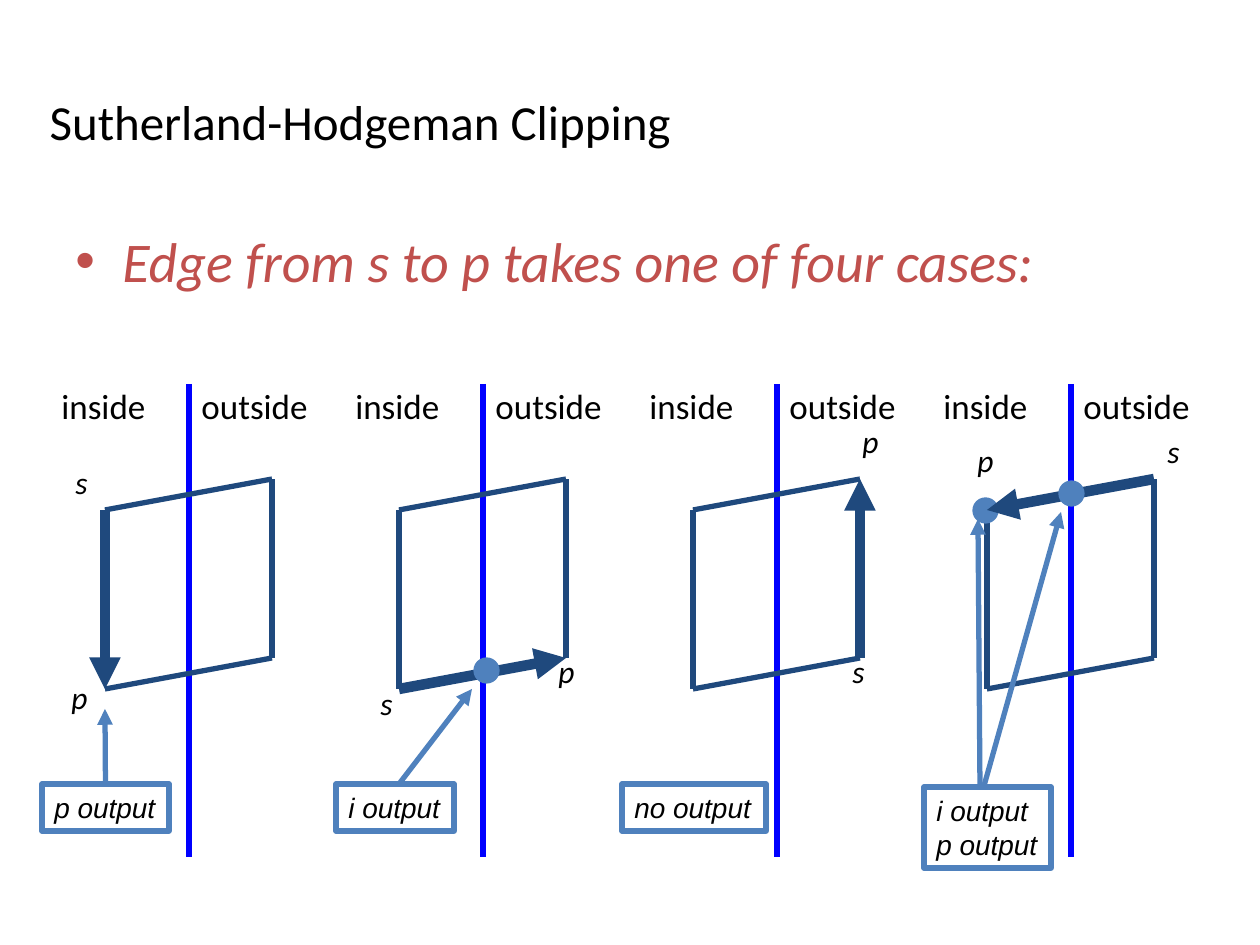
from dataclasses import dataclass

from lxml import etree
from pptx import Presentation
from pptx.dml.color import RGBColor
from pptx.enum.shapes import MSO_CONNECTOR, MSO_SHAPE
from pptx.enum.text import MSO_ANCHOR, MSO_AUTO_SIZE, PP_ALIGN
from pptx.oxml.ns import qn
from pptx.util import Pt

SCALE = 914400 / 126
PITCH = 294

BLACK = RGBColor(0, 0, 0)
WHITE = RGBColor(255, 255, 255)
WALL = RGBColor(0, 0, 255)
NAVY = RGBColor(0x1F, 0x49, 0x7D)
BLUE = RGBColor(0x4F, 0x81, 0xBD)
RED = RGBColor(0xC0, 0x50, 0x4D)

STRAIGHT = MSO_CONNECTOR.STRAIGHT
RECT, OVAL = MSO_SHAPE.RECTANGLE, MSO_SHAPE.OVAL
MIDDLE = MSO_ANCHOR.MIDDLE
LEFT = PP_ALIGN.LEFT
GROW = MSO_AUTO_SIZE.SHAPE_TO_FIT_TEXT

# Polygon corners of the first case; edge n runs from corner n to the next.
CORNERS = [(105, 510), (105, 689), (272, 658), (272, 479)]
DOT = 21


@dataclass
class Case:
    """Places are relative to the left of the case; bold is the edge s to p."""
    bold: int
    s: tuple
    p: tuple
    box: tuple
    text: str
    arrows: tuple = ()
    ends: tuple = ()
    cuts: tuple = ()
    joined: bool = False


CASES = [
    Case(0, (63, 457), (59, 672), (42, 784, 127, 47), "p output",
         arrows=((105, 784, 105, 709),), joined=True),
    Case(1, (74, 678), (252, 646), (42, 784, 118, 47), "i output",
         arrows=((105, 784, 178, 689),), cuts=((182, 660),)),
    Case(2, (252, 646), (262, 416), (34, 784, 144, 47), "no output"),
    Case(3, (273, 426), (83, 435), (42, 787, 127, 81), "i output\np output",
         arrows=((102, 786, 179, 512), (98, 785, 96, 519)),
         ends=((93, 500),), cuts=((179, 483),)),
]


def px(*nums):
    return [round(n * SCALE) for n in nums]


def style(par, size, color, name="Calibri", italic=False):
    par.alignment = LEFT
    font = par.font
    font.name, font.size, font.italic = name, Pt(size), italic
    font.color.rgb = color


def fit(frame):
    """Centre the text upright and let its shape hug it."""
    frame.word_wrap = False
    frame.auto_size = GROW
    frame.vertical_anchor = MIDDLE


def add_label(slide, text, box, size, italic=False):
    frame = slide.shapes.add_textbox(*px(*box)).text_frame
    frame.text = text
    fit(frame)
    style(frame.paragraphs[0], size, BLACK, italic=italic)


def add_line(slide, ends, color, width=3, arrow=False):
    line = slide.shapes.add_connector(STRAIGHT, *px(*ends))
    line.line.color.rgb = color
    line.line.width = Pt(width)
    if arrow:
        tail = etree.SubElement(line.line._get_or_add_ln(), qn("a:tailEnd"))
        tail.set("type", "triangle")
    etree.SubElement(line._element.spPr, qn("a:effectLst"))
    return line


def add_shape(slide, kind, box, fill):
    shape = slide.shapes.add_shape(kind, *px(*box))
    shape.shadow.inherit = False
    shape.fill.solid()
    shape.fill.fore_color.rgb = fill
    shape.line.color.rgb = BLUE
    shape.line.width = Pt(3)
    return shape


def add_box(slide, text, box):
    shape = add_shape(slide, RECT, box, WHITE)
    frame = shape.text_frame
    frame.text = text
    fit(frame)
    for par in frame.paragraphs:
        style(par, 16, BLACK, "Arial", True)
    return shape


def add_dot(slide, x, y):
    add_shape(slide, OVAL, (x, y, DOT, DOT), BLUE)


def add_edge(slide, num, left, bold):
    (x1, y1), (x2, y2) = CORNERS[num], CORNERS[(num + 1) % len(CORNERS)]
    add_line(slide, (left + x1, y1, left + x2, y2), NAVY,
             6 if bold else 3, bold)


def add_case(slide, case, left):
    add_line(slide, (left + 189, 384, left + 189, 857), WALL)
    add_label(slide, "inside", (left + 49, 378, 111, 55), 20)
    add_label(slide, "outside", (left + 189, 378, 132, 55), 20)
    for num in range(len(CORNERS)):
        if num != case.bold:
            add_edge(slide, num, left, False)
    for text, (x, y), width in (("s", case.s, 38), ("p", case.p, 42)):
        add_label(slide, text, (left + x, y, width, 50), 18, True)

    x, *rest = case.box
    box = add_box(slide, case.text, (left + x, *rest))
    for x1, y1, x2, y2 in case.arrows:
        line = add_line(slide, (left + x1, y1, left + x2, y2), BLUE,
                        arrow=True)
        if case.joined:
            line.begin_connect(box, 0)

    for x, y in case.ends:
        add_dot(slide, left + x, y)
    add_edge(slide, case.bold, left, True)
    for x, y in case.cuts:
        add_dot(slide, left + x, y)


def add_title(slide, text):
    title = slide.shapes.title
    title.left, title.top, title.width, title.height = px(37, 42, 1018, 157)
    title.text_frame.text = text
    title.text_frame.vertical_anchor = MIDDLE
    style(title.text_frame.paragraphs[0], 28, BLACK)


def add_point(slide, text):
    frame = slide.shapes.add_textbox(*px(63, 220, 1134, 624)).text_frame
    frame.word_wrap = True
    frame.text = text
    par = frame.paragraphs[0]
    props = par._p.get_or_add_pPr()
    hang = px(47)[0]
    props.set("marL", str(hang))
    props.set("indent", str(-hang))
    etree.SubElement(props, qn("a:buFont")).set("typeface", "Arial")
    etree.SubElement(props, qn("a:buChar")).set("char", "•")
    style(par, 32, RED, italic=True)


def main():
    deck = Presentation()
    deck.slide_width, deck.slide_height = px(1260, 945)
    slide = deck.slides.add_slide(deck.slide_layouts[5])
    add_title(slide, "Sutherland-Hodgeman Clipping")
    add_point(slide, "Edge from s to p takes one of four cases:")
    for num, case in enumerate(CASES):
        add_case(slide, case, num * PITCH)
    deck.save("out.pptx")


if __name__ == "__main__":
    main()
